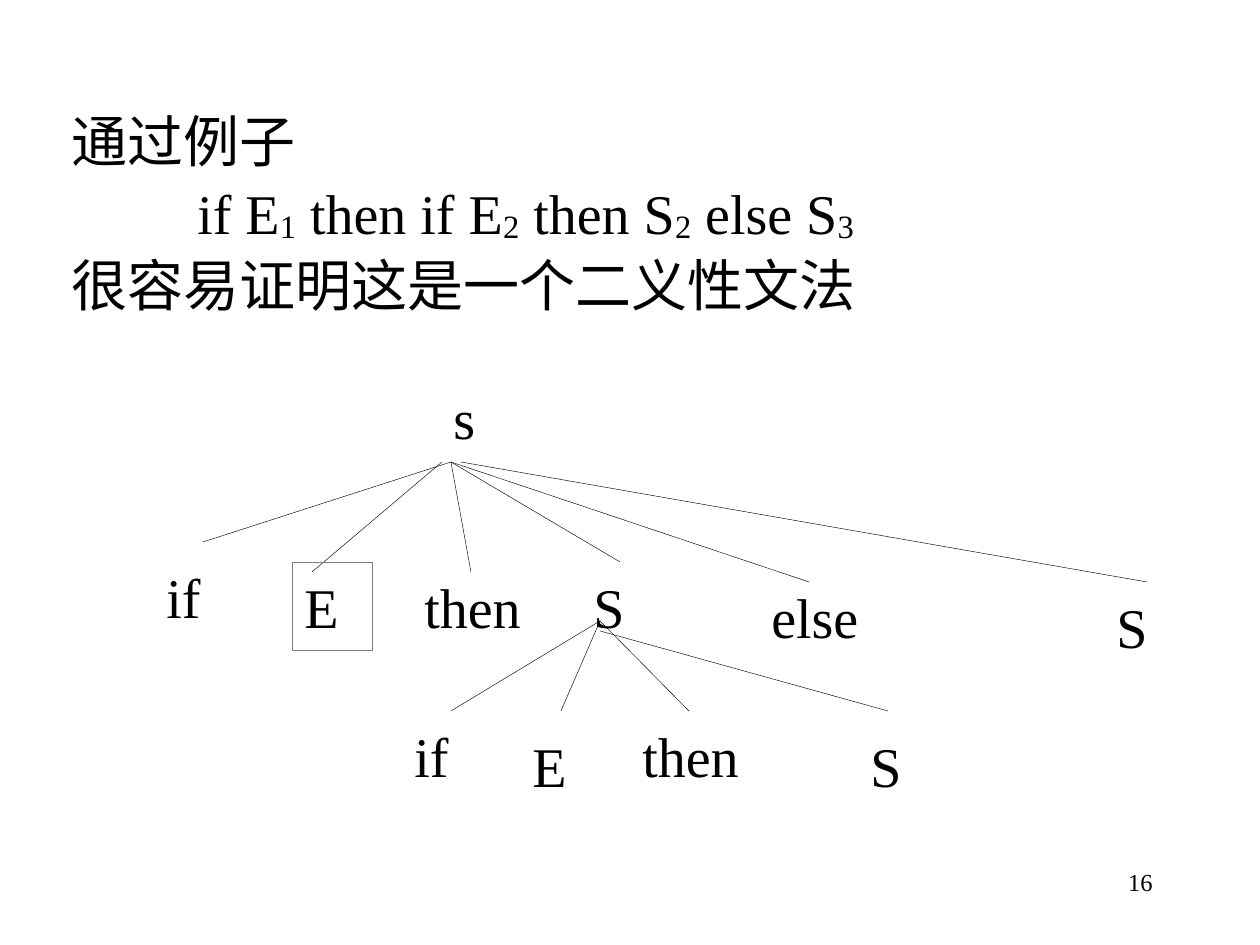
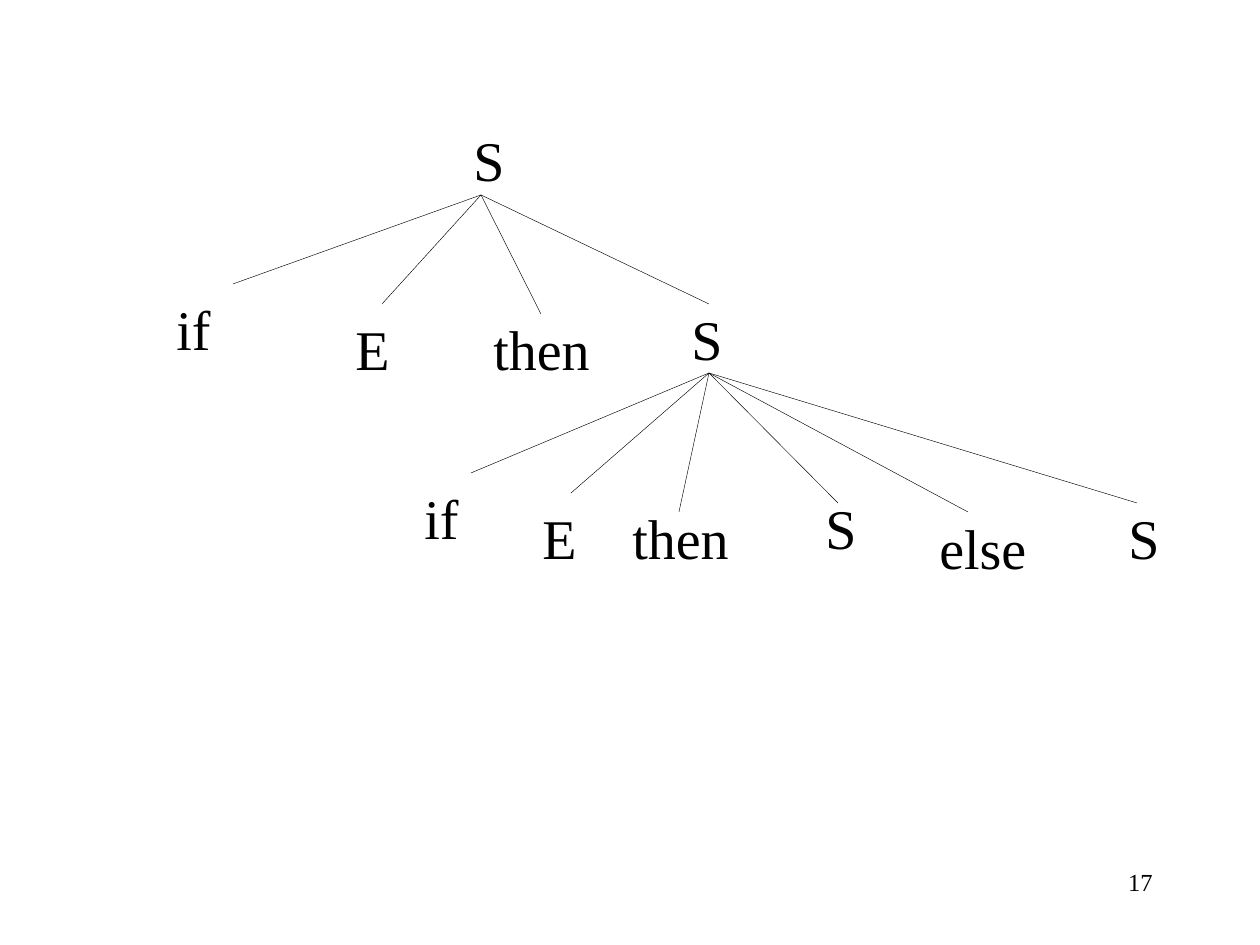
from lxml import etree
from pptx import Presentation
from pptx.dml.color import RGBColor as Rgb
from pptx.enum.shapes import MSO_CONNECTOR as Link, MSO_SHAPE as Shape
from pptx.enum.text import MSO_ANCHOR as Anchor, PP_ALIGN as Align
from pptx.oxml.ns import qn
from pptx.util import Pt

PX = 914400 // 126
FONT = "Times New Roman"
HUES = {"ink": "000000", "frame": "808080", "page": "FFFFFF"}
WORD_H = 88


def hue(name):
    return Rgb.from_string(HUES[name])


def scale(*parts):
    return [round(part * PX) for part in parts]


def add_run(para, text, size=32, drop=False):
    run = para.add_run()
    run.text = text
    run.font.size = Pt(size)
    run.font.name = FONT
    run.font.color.rgb = hue("ink")
    if drop:
        run.font._element.set("baseline", "-7000")


def add_box(slide, box, anchor=Anchor.TOP):
    frame = slide.shapes.add_textbox(*scale(*box)).text_frame
    frame.word_wrap = True
    frame.vertical_anchor = anchor
    return frame


def add_word(slide, text, box):
    frame = add_box(slide, box, Anchor.MIDDLE)
    add_run(frame.paragraphs[0], text)


def add_line(slide, start, end):
    line = slide.shapes.add_connector(Link.STRAIGHT, *scale(*start, *end))
    line.line.color.rgb = hue("ink")
    line.line.width = Pt(0.25)
    etree.SubElement(line._element.spPr, qn("a:effectLst"))


def add_frame(slide, box):
    rect = slide.shapes.add_shape(Shape.RECTANGLE, *scale(*box))
    rect.shadow.inherit = False
    rect.fill.background()
    rect.line.color.rgb = hue("frame")
    rect.line.width = Pt(0.25)
    frame = rect.text_frame
    frame.word_wrap = True
    frame.vertical_anchor = Anchor.MIDDLE
    frame.paragraphs[0].alignment = Align.LEFT
    return frame


def add_tree(slide, box, apex, nodes, root=None, framed=()):
    left, top = box
    if root:
        text, x, width = root
        add_word(slide, text, (left + x, top, width, WORD_H))
    for spot, (text, x, y, width, tip, shift) in enumerate(nodes):
        start = (left + apex[0] + shift[0], top + apex[1] + shift[1])
        add_line(slide, start, (left + tip[0], top + tip[1]))
        area = (left + x, top + y, width, WORD_H)
        if spot in framed:
            add_run(add_frame(slide, area).paragraphs[0], text)
        else:
            add_word(slide, text, area)


def add_intro(slide, box):
    frame = add_box(slide, box)
    lines = [
        ["通过例子"],
        ["if E", "1", " then if E", "2", " then S", "2", " else S", "3"],
        ["很容易证明这是一个二义性文法"],
    ]
    for row, parts in enumerate(lines):
        para = frame.add_paragraph() if row else frame.paragraphs[0]
        para.line_spacing = 0.55
        para.space_before = Pt(20 if row else 0)
        if len(parts) > 1:
            props = para._p.get_or_add_pPr()
            props.set("marL", str(126 * PX))
            props.set("indent", "0")
        for text in parts:
            add_run(para, text, drop=text.isdigit())


def add_page(deck, number):
    slide = deck.slides.add_slide(deck.slide_layouts[6])
    slide.background.fill.solid()
    slide.background.fill.fore_color.rgb = hue("page")
    para = add_box(slide, (903, 861, 262, 63)).paragraphs[0]
    para.alignment = Align.RIGHT
    add_run(para, str(number), 14)
    return slide


def outer_else(deck):
    slide = add_page(deck, 16)
    add_intro(slide, (59, 127, 1160, 186))
    add_tree(slide, (154, 373), (297, 89), [
        ("if", 0, 179, 79, (49, 169), (0, 0)),
        ("E", 138, 189, 80, (158, 199), (-9, 0)),
        ("then", 258, 189, 159, (317, 199), (0, 0)),
        ("S", 427, 189, 118, (466, 189), (0, 0)),
        ("else", 605, 199, 169, (655, 209), (0, 0)),
        ("S", 950, 209, 111, (993, 209), (10, 0)),
    ], root=("s", 287, 79), framed=(1,))
    add_tree(slide, (402, 621), (198, 0), [
        ("if", 0, 90, 129, (49, 90), (0, 0)),
        ("E", 118, 100, 89, (159, 90), (0, 0)),
        ("then", 228, 90, 159, (287, 90), (0, 0)),
        ("S", 456, 100, 129, (486, 90), (0, 10)),
    ])


def inner_else(deck):
    slide = add_page(deck, 17)
    add_tree(slide, (164, 115), (317, 80), [
        ("if", 0, 169, 110, (69, 169), (0, 0)),
        ("E", 179, 189, 89, (218, 189), (0, 0)),
        ("then", 317, 189, 179, (377, 199), (0, 0)),
        ("S", 515, 179, 129, (545, 189), (0, 0)),
    ], root=("S", 297, 159))
    add_tree(slide, (412, 373), (297, 0), [
        ("if", 0, 100, 100, (59, 100), (0, 0)),
        ("E", 118, 120, 110, (159, 120), (0, 0)),
        ("then", 208, 120, 159, (267, 139), (0, 0)),
        ("S", 401, 110, 96, (426, 130), (0, 0)),
        ("else", 515, 130, 149, (556, 139), (0, 0)),
        ("S", 704, 120, 144, (725, 130), (0, 0)),
    ])


deck = Presentation()
deck.slide_width, deck.slide_height = scale(1260, 945)
outer_else(deck)
inner_else(deck)
deck.save("out.pptx")
